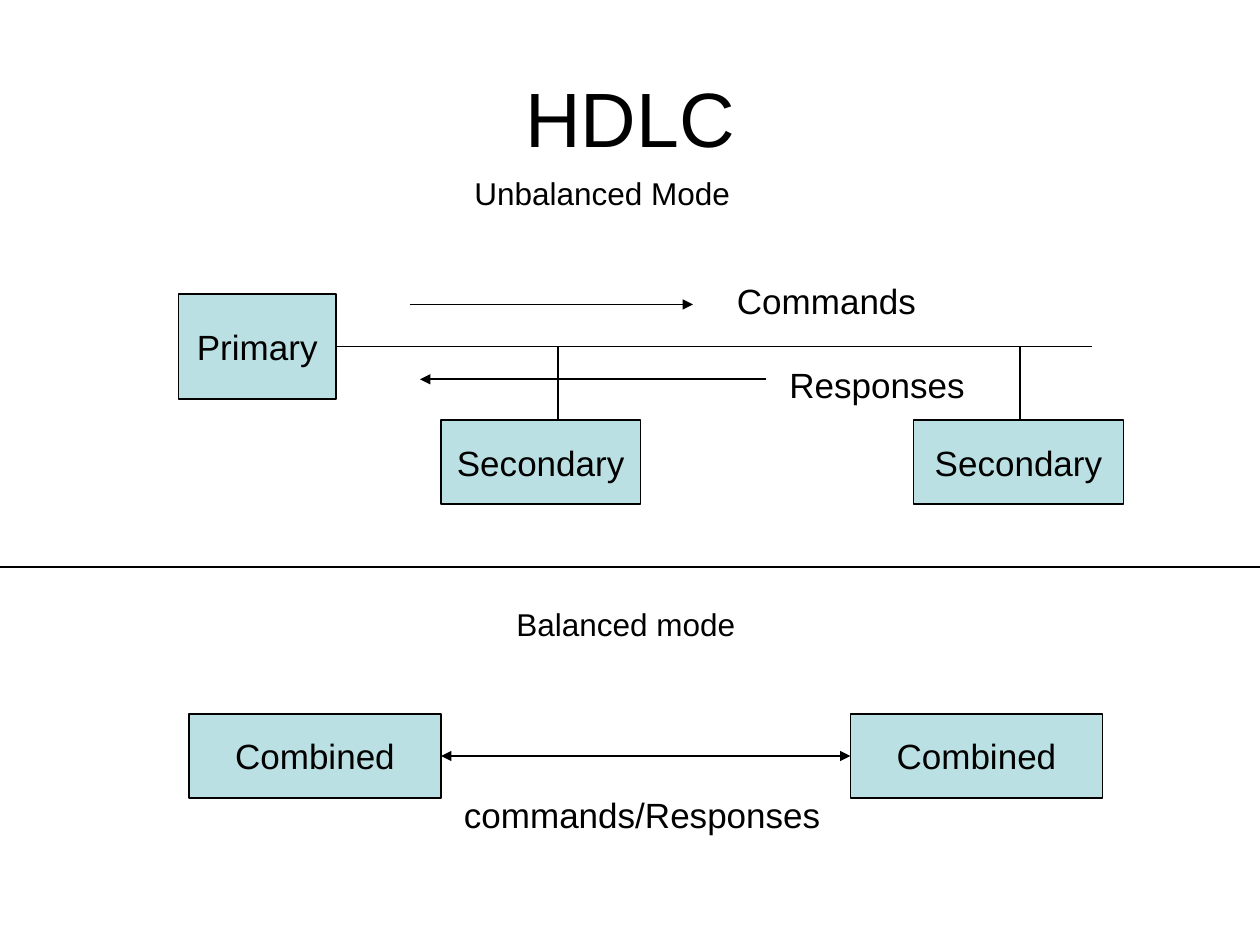
from lxml.etree import SubElement
from pptx import Presentation
from pptx.dml.color import RGBColor
from pptx.enum.shapes import MSO_CONNECTOR, MSO_SHAPE
from pptx.enum.text import MSO_ANCHOR, PP_ALIGN
from pptx.oxml.ns import qn
from pptx.util import Pt

BLACK = RGBColor(0x00, 0x00, 0x00)
PALE_TEAL = RGBColor(0xBB, 0xE0, 0xE3)
FONT = "Arial"
SLIDE_WIDTH, SLIDE_HEIGHT = 720, 540
STATION_SIZE = 20

# text, left, top, width, height
TITLE = ("HDLC", 36, 21.6, 648, 90)
STATIONS = [
    ("Primary", 102, 168, 90, 60),
    ("Secondary", 252, 240, 114, 48),
    ("Secondary", 522, 240, 120, 48),
    ("Combined", 108, 408, 144, 48),
    ("Combined", 486, 408, 144, 48),
]
# text, left, top, width, height, font size
LABELS = [
    ("Commands", 414, 156, 138, 31, 20),
    ("Responses", 444, 204, 150, 31, 20),
    ("commands/Responses", 258, 450, 222, 31, 20),
    ("Unbalanced Mode", 264, 96, 348, 29, 18),
    ("Balanced mode", 288, 342, 186, 29, 18),
]
# start x, start y, end x, end y, line width, arrowheads
BUS_Y = 198
LINES = [
    (192, BUS_Y, 624, BUS_Y, 1, ()),
    (318.75, BUS_Y, 318.75, 240, 1, ()),
    (582.75, BUS_Y, 582.75, 240, 1, ()),
    (234, 174, 396, 174, 1, ("tailEnd",)),
    (438, 216.75, 240, 216.75, 1, ("tailEnd",)),
    (252, 432, 486, 432, 1, ("headEnd", "tailEnd")),
    (0, 324, SLIDE_WIDTH, 324, 0.75, ()),
]


def write_text(shape, text, size, alignment, anchor, wrap=True):
    frame = shape.text_frame
    frame.word_wrap = wrap
    frame.vertical_anchor = anchor
    paragraph = frame.paragraphs[0]
    paragraph.alignment = alignment
    run = paragraph.add_run()
    run.text = text
    run.font.name = FONT
    run.font.size = Pt(size)
    run.font.color.rgb = BLACK


def add_label(slide, text, box, size, alignment=PP_ALIGN.LEFT, anchor=MSO_ANCHOR.TOP):
    label = slide.shapes.add_textbox(*map(Pt, box))
    write_text(label, text, size, alignment, anchor)


def add_station(slide, text, box):
    station = slide.shapes.add_shape(MSO_SHAPE.RECTANGLE, *map(Pt, box))
    station.shadow.inherit = False
    station.fill.solid()
    station.fill.fore_color.rgb = PALE_TEAL
    station.line.color.rgb = BLACK
    station.line.width = Pt(1)
    write_text(station, text, STATION_SIZE, PP_ALIGN.CENTER, MSO_ANCHOR.MIDDLE, wrap=False)


def add_line(slide, ends, width, arrowheads):
    connector = slide.shapes.add_connector(MSO_CONNECTOR.STRAIGHT, *map(Pt, ends))
    connector.line.color.rgb = BLACK
    connector.line.width = Pt(width)
    for arrowhead in arrowheads:
        SubElement(connector.line._get_or_add_ln(), qn(f"a:{arrowhead}"), type="triangle")
    SubElement(connector._element.spPr, qn("a:effectLst"))


def main():
    presentation = Presentation()
    presentation.slide_width = Pt(SLIDE_WIDTH)
    presentation.slide_height = Pt(SLIDE_HEIGHT)
    slide = presentation.slides.add_slide(presentation.slide_layouts[6])

    title, *title_box = TITLE
    add_label(slide, title, title_box, 44, PP_ALIGN.CENTER, MSO_ANCHOR.MIDDLE)
    for text, *box in STATIONS:
        add_station(slide, text, box)
    for *ends, width, arrowheads in LINES:
        add_line(slide, ends, width, arrowheads)
    for text, *box, size in LABELS:
        add_label(slide, text, box, size)

    presentation.save("out.pptx")


if __name__ == "__main__":
    main()
